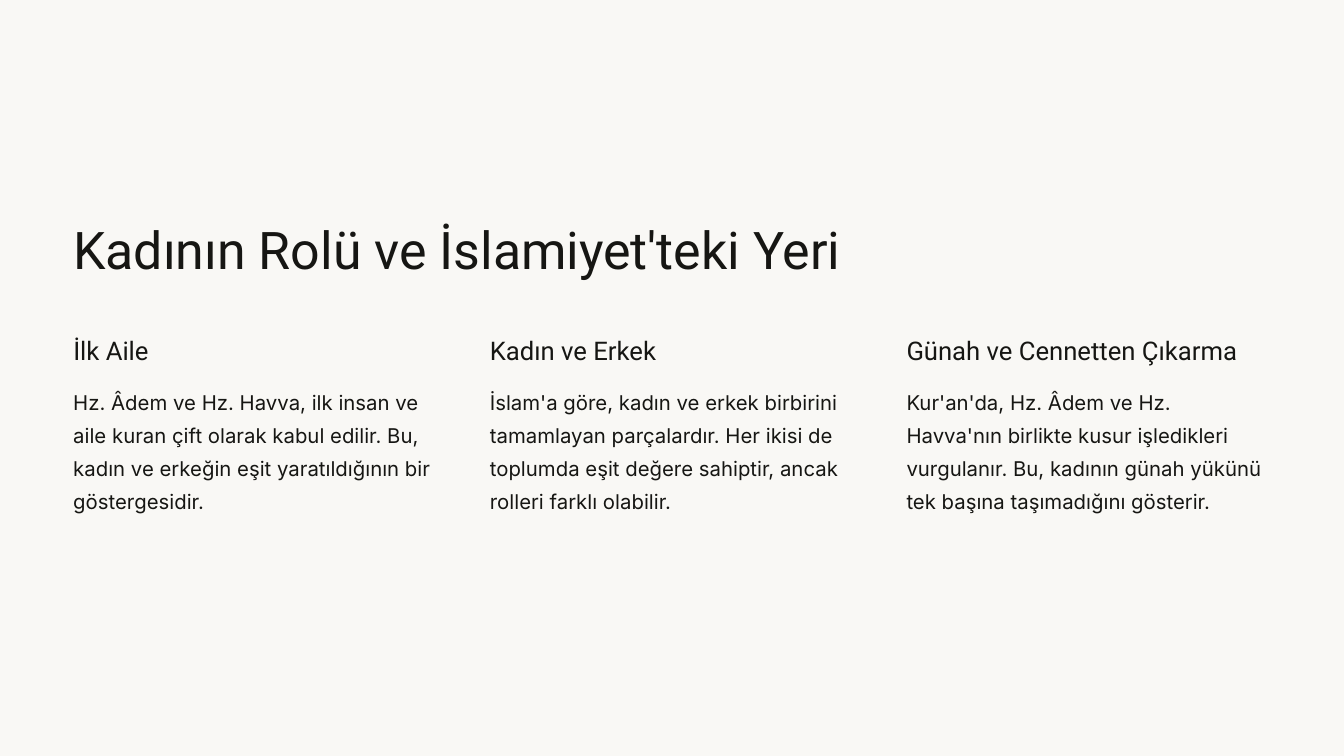
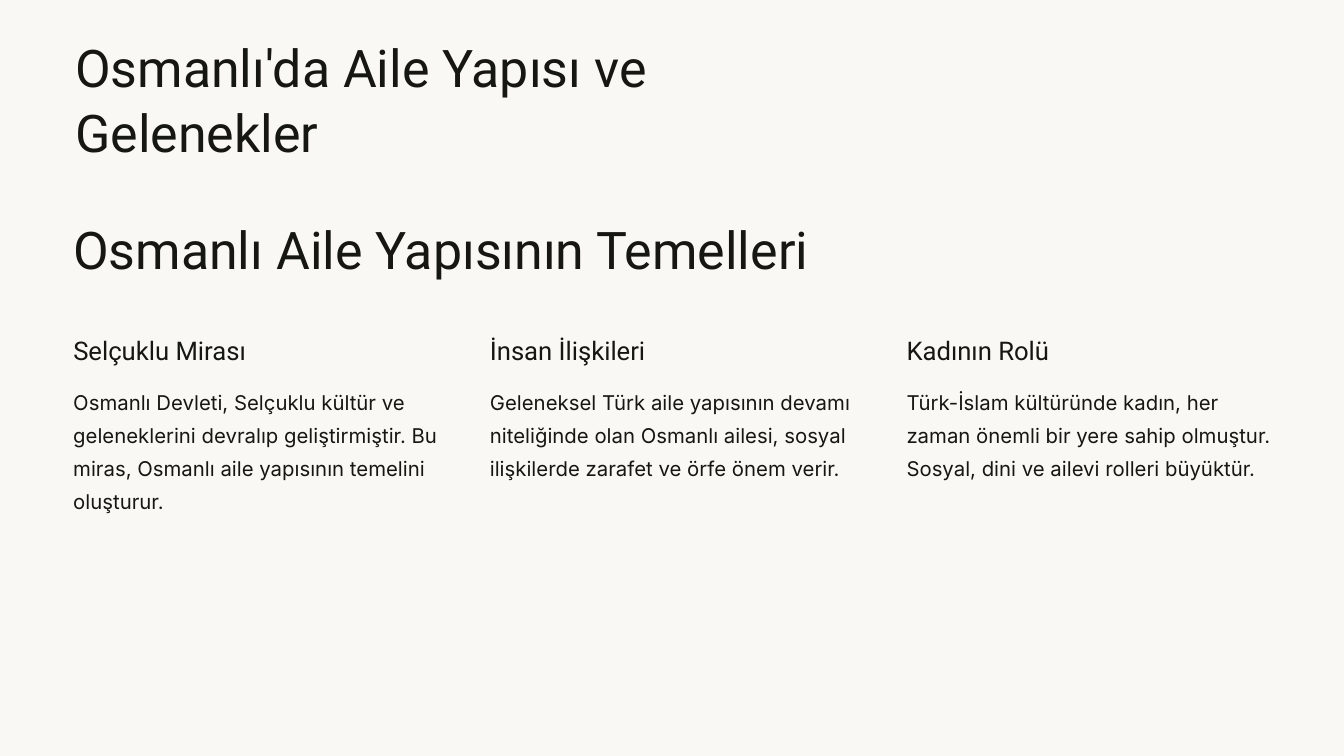
from pptx import Presentation
from pptx.dml.color import RGBColor
from pptx.enum.shapes import MSO_SHAPE
from pptx.enum.text import MSO_AUTO_SIZE
from pptx.util import Emu, Pt

EMU_PER_PX = 9144
PAGE_WIDTH, PAGE_HEIGHT = 2000, 1125
COLORS = {"paper": "F9F8F5", "ink": "161613"}
COLUMN_LEFT, COLUMN_PITCH = 109, 620

SLIDES = [
    {
        "title": "Kadının Rolü ve İslamiyet'teki Yeri",
        "title_width": 1192,
        "columns": [
            ("İlk Aile", 388,
             "Hz. Âdem ve Hz. Havva, ilk insan ve aile kuran çift olarak kabul edilir. "
             "Bu, kadın ve erkeğin eşit yaratıldığının bir göstergesidir."),
            ("Kadın ve Erkek", 388,
             "İslam'a göre, kadın ve erkek birbirini tamamlayan parçalardır. "
             "Her ikisi de toplumda eşit değere sahiptir, ancak rolleri farklı olabilir."),
            ("Günah ve Cennetten Çıkarma", 536,
             "Kur'an'da, Hz. Âdem ve Hz. Havva'nın birlikte kusur işledikleri vurgulanır. "
             "Bu, kadının günah yükünü tek başına taşımadığını gösterir."),
        ],
    },
    {
        "chapter": "Osmanlı'da Aile Yapısı ve Gelenekler",
        "title": "Osmanlı Aile Yapısının Temelleri",
        "title_width": 1137,
        "columns": [
            ("Selçuklu Mirası", 388,
             "Osmanlı Devleti, Selçuklu kültür ve geleneklerini devralıp geliştirmiştir. "
             "Bu miras, Osmanlı aile yapısının temelini oluşturur."),
            ("İnsan İlişkileri", 388,
             "Geleneksel Türk aile yapısının devamı niteliğinde olan Osmanlı ailesi, "
             "sosyal ilişkilerde zarafet ve örfe önem verir."),
            ("Kadının Rolü", 388,
             "Türk-İslam kültüründe kadın, her zaman önemli bir yere sahip olmuştur. "
             "Sosyal, dini ve ailevi rolleri büyüktür."),
        ],
    },
]


def px(length):
    return Emu(length * EMU_PER_PX)


def color(name):
    return RGBColor.from_string(COLORS[name])


def write(frame, text, *, font, size, leading, ink="ink"):
    para = frame.paragraphs[0]
    para.line_spacing = Pt(leading)
    span = para.add_run()
    span.text = text
    span.font.name = font
    span.font.size = Pt(size)
    span.font.color.rgb = color(ink)


class Page:
    TITLE = {"font": "Roboto", "size": 55.6, "leading": 69.4}
    HEADING = {"font": "Roboto", "size": 27.5, "leading": 34.4}
    BODY = {"font": "Inter", "size": 21.8, "leading": 35.6}

    def __init__(self, deck):
        self.slide = deck.slides.add_slide(deck.slide_layouts[6])

    def paper(self):
        sheet = self.slide.shapes.add_shape(
            MSO_SHAPE.RECTANGLE, 0, 0, px(PAGE_WIDTH), px(PAGE_HEIGHT))
        sheet.shadow.inherit = False
        sheet.fill.solid()
        sheet.fill.fore_color.rgb = color("paper")
        sheet.line.fill.background()

    def text(self, text, left, top, width, height, style):
        box = self.slide.shapes.add_textbox(px(left), px(top), px(width), px(height))
        frame = box.text_frame
        frame.margin_left = frame.margin_right = 0
        frame.margin_top = frame.margin_bottom = 0
        frame.word_wrap = True
        frame.auto_size = MSO_AUTO_SIZE.SHAPE_TO_FIT_TEXT
        write(frame, text, **style)

    def title(self, text, width):
        self.text(text, COLUMN_LEFT, 320, width, 99, self.TITLE)

    def chapter(self, text):
        self.text(text, 112, 49, 1033, 196, self.TITLE)

    def column(self, index, heading, heading_width, body):
        left = COLUMN_LEFT + index * COLUMN_PITCH
        self.text(heading, left, 496, heading_width, 49, self.HEADING)
        self.text(body, left, 567, 544, 208, self.BODY)


def main():
    deck = Presentation()
    deck.slide_width = px(PAGE_WIDTH)
    deck.slide_height = px(PAGE_HEIGHT)
    for content in SLIDES:
        page = Page(deck)
        page.paper()
        page.title(content["title"], content["title_width"])
        for index, column in enumerate(content["columns"]):
            page.column(index, *column)
        if "chapter" in content:
            page.chapter(content["chapter"])
    deck.save("out.pptx")


if __name__ == "__main__":
    main()
